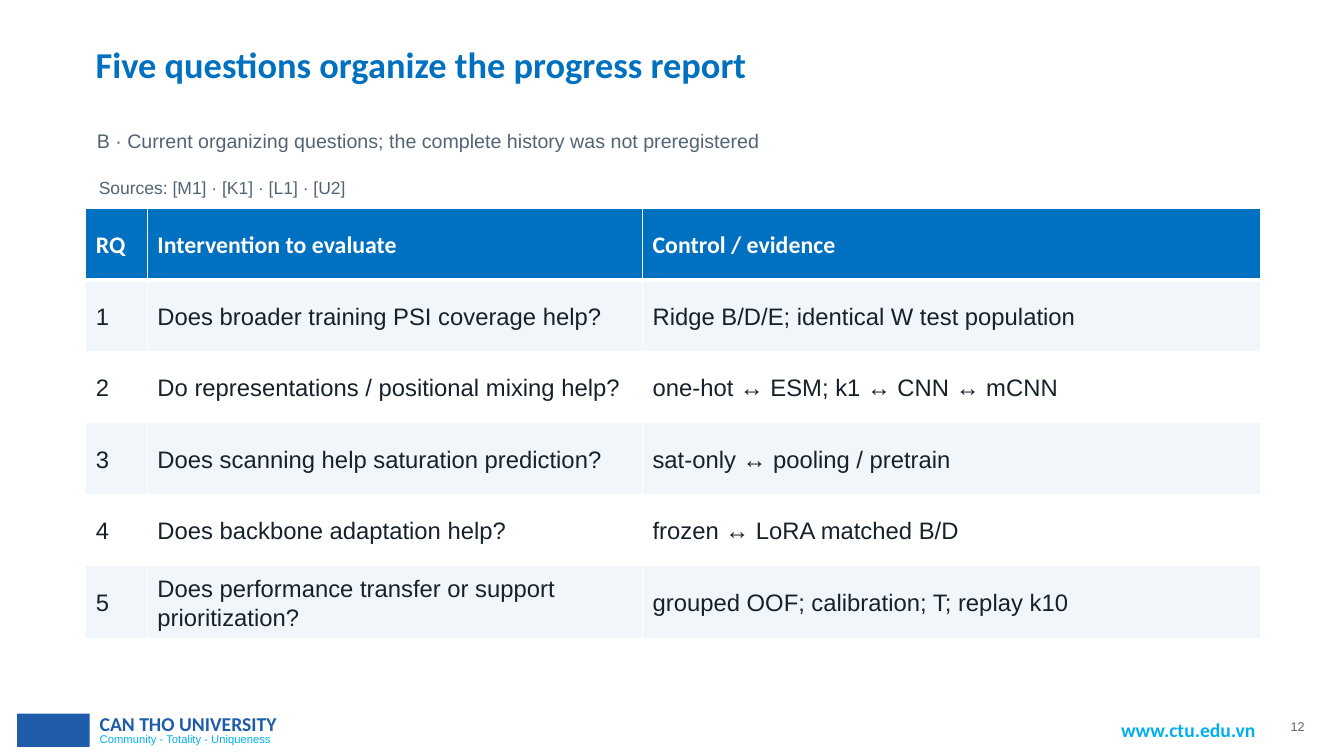
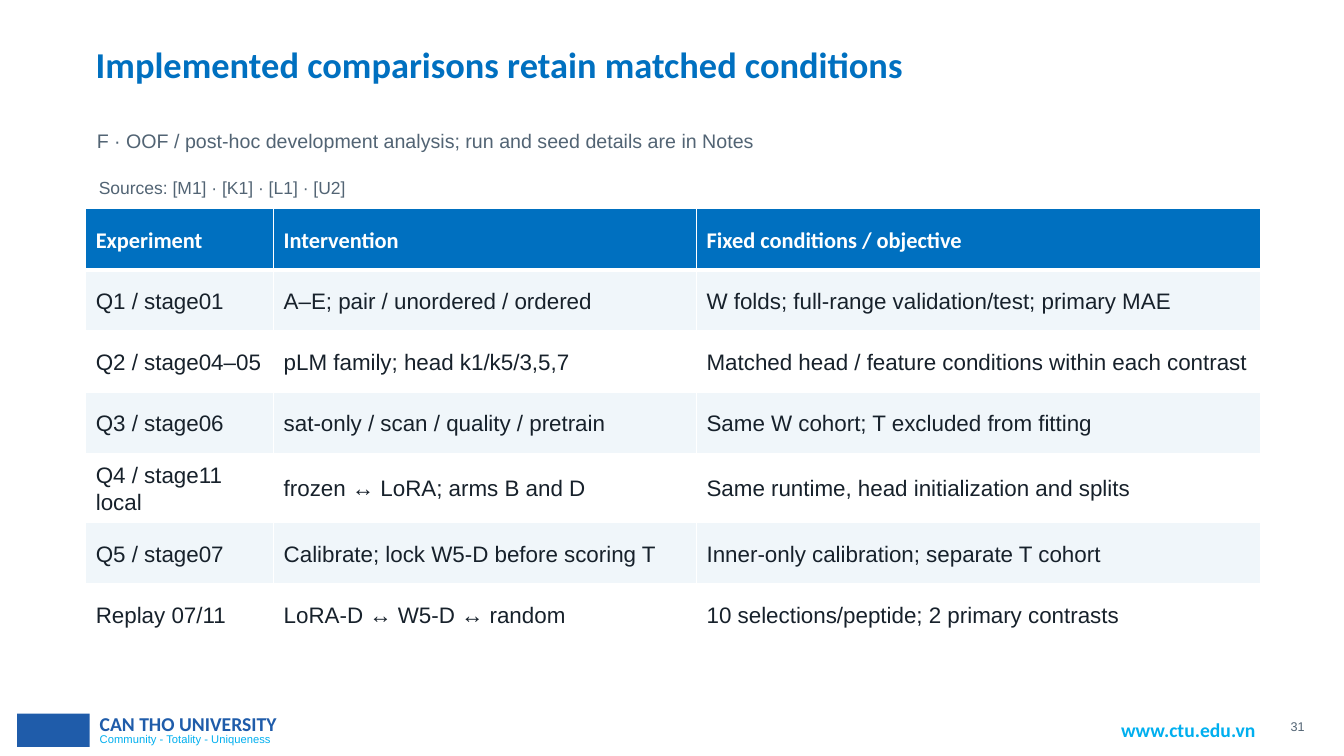
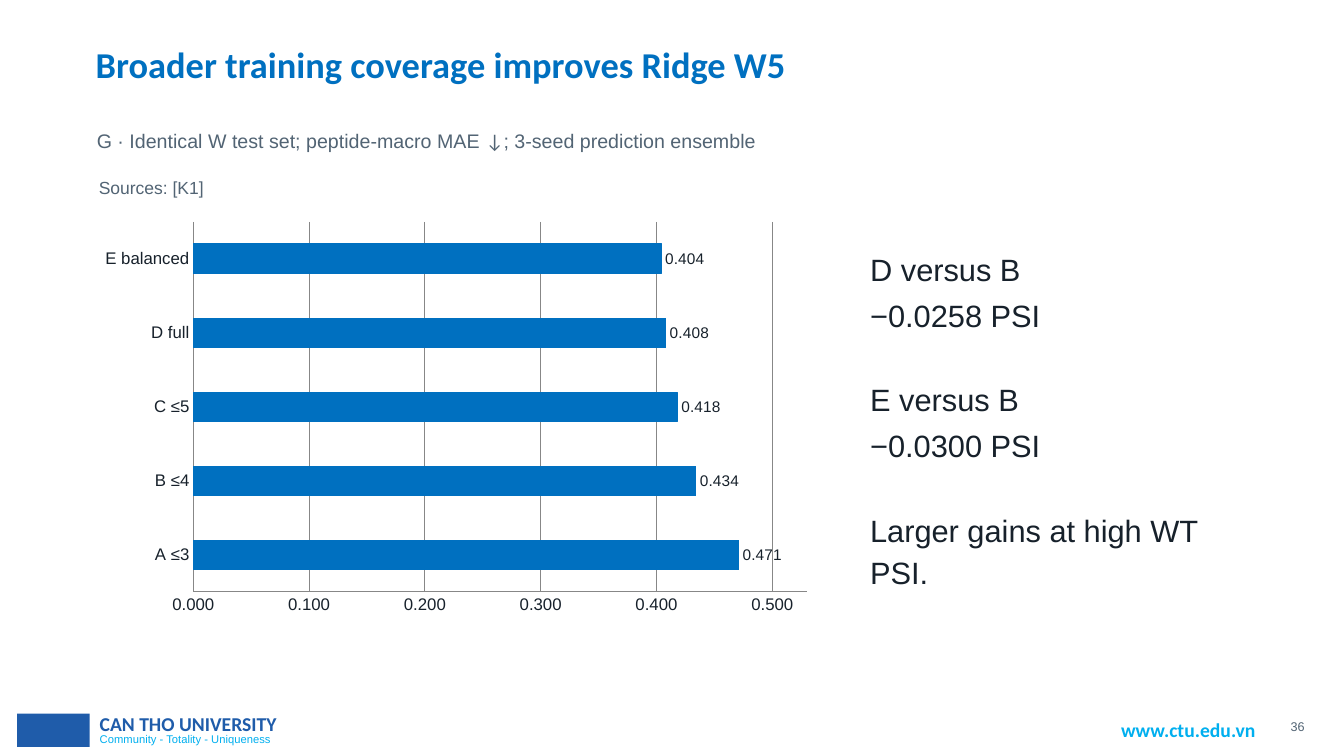
from lxml import etree
from pptx import Presentation
from pptx.chart.data import CategoryChartData
from pptx.dml.color import RGBColor
from pptx.enum.chart import XL_CHART_TYPE, XL_LABEL_POSITION, XL_TICK_MARK
from pptx.enum.shapes import MSO_SHAPE
from pptx.enum.text import MSO_ANCHOR, PP_ALIGN
from pptx.oxml.ns import qn
from pptx.util import Inches, Pt

BAR = XL_CHART_TYPE.BAR_CLUSTERED
OUTSIDE_END = XL_LABEL_POSITION.OUTSIDE_END
NO_TICK = XL_TICK_MARK.NONE
RECT = MSO_SHAPE.RECTANGLE
MIDDLE = MSO_ANCHOR.MIDDLE
LEFT, RIGHT = PP_ALIGN.LEFT, PP_ALIGN.RIGHT

# Shared style
W, H = Inches(13.33), Inches(7.5)
HEAD_FONT, BODY_FONT = "Calibri", "Arial"
BLUE, NAVY, CYAN = "0070C0", "1F5CAA", "00AFEF"
INK, MUTED, GRID = "17212B", "526474", "878787"
BAND, WHITE = "F0F6FA", "FFFFFF"
TIGHT, ROOMY = Inches(0.01), Inches(0.1)

# Areas as left, top, width, height in percent of the slide
TITLE = (7.05, 4.67, 87.4, 10.93)
SUBTITLE = (7.13, 16.53, 86.65, 6.4)
SOURCES = (7.28, 22.93, 86.05, 3.6)
TABLE = (6.38, 27.6, 87.4, 56.67)
CHART = (6.75, 28.27, 54.39, 54)
TAKEAWAYS = (64.67, 32.4, 25.88, 49.33)
BLOCK = (1.28, 94.4, 5.4, 4.4)
MOTTO = (6.68, 96.27, 15.75, 3.2)
SCHOOL = (6.68, 93.47, 22.66, 4.53)
ADDRESS = (82.67, 94.27, 12.3, 4.53)
NUMBER = (94.9, 94.67, 2.25, 2.67)


def rgb(color):
    return RGBColor.from_string(color)


def place(area):
    return [round(total * share / 100) for share, total in zip(area, (W, H, W, H))]


def style_font(font, size, color, name=BODY_FONT, bold=False):
    font.size, font.name, font.bold = Pt(size), name, bold
    font.color.rgb = rgb(color)


# Text
def add_label(slide, area, text, size, color, name=BODY_FONT, bold=False):
    tf = slide.shapes.add_textbox(*place(area)).text_frame
    tf.word_wrap = True
    p = tf.paragraphs[0]
    p.text = text
    style_font(p.runs[0].font, size, color, name, bold)


def add_body(slide, area, groups, size, color, name=BODY_FONT, bold=False, align=LEFT):
    """Groups of lines, with a wider gap between groups; arrows use the heading font."""
    tf = slide.shapes.add_textbox(*place(area)).text_frame
    tf.word_wrap = True
    tf.margin_left = tf.margin_right = tf.margin_top = tf.margin_bottom = TIGHT
    p = None
    for group in groups:
        for i, line in enumerate(group):
            first = p is None
            p = tf.paragraphs[0] if first else tf.add_paragraph()
            p.alignment, p.line_spacing, p.space_after = align, 1.13, Pt(3)
            if i == 0 and not first:
                p.space_before = Pt(27.5)
            for part in filter(None, line.partition("↓")):
                r = p.add_run()
                r.text = part
                style_font(r.font, size, color, HEAD_FONT if part == "↓" else name, bold)


# Slide frame
def add_footer(slide, number):
    sp = slide.shapes.add_shape(RECT, *place(BLOCK))
    sp.shadow.inherit = False
    sp.fill.solid()
    sp.fill.fore_color.rgb = rgb(NAVY)
    sp.line.fill.background()
    add_label(slide, MOTTO, "Community - Totality - Uniqueness", 8, CYAN)
    add_label(slide, SCHOOL, "CAN THO UNIVERSITY", 14, NAVY, HEAD_FONT, True)
    add_label(slide, ADDRESS, "www.ctu.edu.vn", 14, CYAN, HEAD_FONT, True)
    add_body(slide, NUMBER, [[str(number)]], 9, MUTED, align=RIGHT)


def new_slide(prs, number, title, subtitle, sources):
    slide = prs.slides.add_slide(prs.slide_layouts[6])
    add_footer(slide, number)
    add_body(slide, TITLE, [[title]], 26, BLUE, HEAD_FONT, True)
    add_body(slide, SUBTITLE, [[subtitle]], 14, MUTED)
    add_body(slide, SOURCES, [["Sources: " + " · ".join(sources)]], 12.5, MUTED)
    return slide


# Table with a blue header and banded rows
def add_borders(cell, bottom):
    props = cell._tc.get_or_add_tcPr()
    for side, width in (("L", 1), ("R", 1), ("T", 1), ("B", bottom)):
        line = etree.SubElement(props, qn(f"a:ln{side}"), w=str(Pt(width)))
        fill = etree.SubElement(line, qn("a:solidFill"))
        etree.SubElement(fill, qn("a:srgbClr"), val=WHITE)


def add_grid(slide, rows, shares, size):
    x, y, w, h = place(TABLE)
    table = slide.shapes.add_table(len(rows), len(shares), x, y, w, h).table
    for column, share in zip(table.columns, shares):
        column.width = round(w * share / 100)
    for i, row in enumerate(rows):
        table.rows[i].height = h // len(rows)
        fill = BLUE if i == 0 else BAND if i % 2 else WHITE
        for j, text in enumerate(row):
            cell = table.cell(i, j)
            if i == 0:
                add_borders(cell, 3)
            cell.fill.solid()
            cell.fill.fore_color.rgb = rgb(fill)
            cell.vertical_anchor = MIDDLE
            cell.margin_left = cell.margin_right = ROOMY
            p = cell.text_frame.paragraphs[0]
            p.text, p.line_spacing = text, 1.1
            font = p.runs[0].font
            if i == 0:
                style_font(font, size, WHITE, HEAD_FONT, True)
            else:
                style_font(font, size, INK)


# Bar chart
def add_bars(slide, values):
    data = CategoryChartData(number_format="0.000")
    data.categories = list(values)
    data.add_series("Series 1", list(values.values()))
    chart = slide.shapes.add_chart(BAR, *place(CHART), data).chart
    chart.has_legend = chart.has_title = False
    style_font(chart.font, 12, INK)

    for axis in (chart.category_axis, chart.value_axis):
        axis.major_tick_mark = axis.minor_tick_mark = NO_TICK
        axis.format.line.color.rgb = rgb(GRID)
        style_font(axis.tick_labels.font, 12, INK)
    axis = chart.value_axis
    axis.minimum_scale, axis.maximum_scale, axis.major_unit = 0, 0.53, 0.1
    axis.has_major_gridlines = True
    axis.major_gridlines.format.line.color.rgb = rgb(GRID)
    axis.tick_labels.number_format = "0.000"
    axis.tick_labels.number_format_is_linked = False

    plot = chart.plots[0]
    plot.vary_by_categories, plot.gap_width = False, 150
    bars = plot.series[0].format
    bars.fill.solid()
    bars.fill.fore_color.rgb = bars.line.color.rgb = rgb(BLUE)
    bars.line.width = Pt(0.75)
    plot.has_data_labels = True
    labels = plot.data_labels
    labels.show_value, labels.position = True, OUTSIDE_END
    labels.number_format, labels.number_format_is_linked = "0.000", False
    style_font(labels.font, 11, INK)


def main():
    prs = Presentation()
    prs.slide_width, prs.slide_height = W, H
    all_sources = ["[M1]", "[K1]", "[L1]", "[U2]"]

    # Research questions
    s = new_slide(prs, 12, "Five questions organize the progress report",
                  "B · Current organizing questions; the complete history was not preregistered",
                  all_sources)
    add_grid(s, [
        ("RQ", "Intervention to evaluate", "Control / evidence"),
        ("1", "Does broader training PSI coverage help?",
         "Ridge B/D/E; identical W test population"),
        ("2", "Do representations / positional mixing help?",
         "one-hot ↔ ESM; k1 ↔ CNN ↔ mCNN"),
        ("3", "Does scanning help saturation prediction?", "sat-only ↔ pooling / pretrain"),
        ("4", "Does backbone adaptation help?", "frozen ↔ LoRA matched B/D"),
        ("5", "Does performance transfer or support prioritization?",
         "grouped OOF; calibration; T; replay k10"),
    ], (5.25, 42.15, 52.6), 17)

    # Experiments
    s = new_slide(prs, 31, "Implemented comparisons retain matched conditions",
                  "F · OOF / post-hoc development analysis; run and seed details are in Notes",
                  all_sources)
    add_grid(s, [
        ("Experiment", "Intervention", "Fixed conditions / objective"),
        ("Q1 / stage01", "A–E; pair / unordered / ordered",
         "W folds; full-range validation/test; primary MAE"),
        ("Q2 / stage04–05", "pLM family; head k1/k5/3,5,7",
         "Matched head / feature conditions within each contrast"),
        ("Q3 / stage06", "sat-only / scan / quality / pretrain",
         "Same W cohort; T excluded from fitting"),
        ("Q4 / stage11 local", "frozen ↔ LoRA; arms B and D",
         "Same runtime, head initialization and splits"),
        ("Q5 / stage07", "Calibrate; lock W5-D before scoring T",
         "Inner-only calibration; separate T cohort"),
        ("Replay 07/11", "LoRA-D ↔ W5-D ↔ random",
         "10 selections/peptide; 2 primary contrasts"),
    ], (16, 36, 48), 16)

    # Coverage result
    s = new_slide(prs, 36, "Broader training coverage improves Ridge W5",
                  "G · Identical W test set; peptide-macro MAE ↓; 3-seed prediction ensemble",
                  ["[K1]"])
    add_bars(s, {"A ≤3": 0.471, "B ≤4": 0.434, "C ≤5": 0.418,
                 "D full": 0.408, "E balanced": 0.404})
    add_body(s, TAKEAWAYS, [
        ["D versus B", "−0.0258 PSI"],
        ["E versus B", "−0.0300 PSI"],
        ["Larger gains at high WT PSI."],
    ], 22, INK)

    prs.save("out.pptx")


if __name__ == "__main__":
    main()
